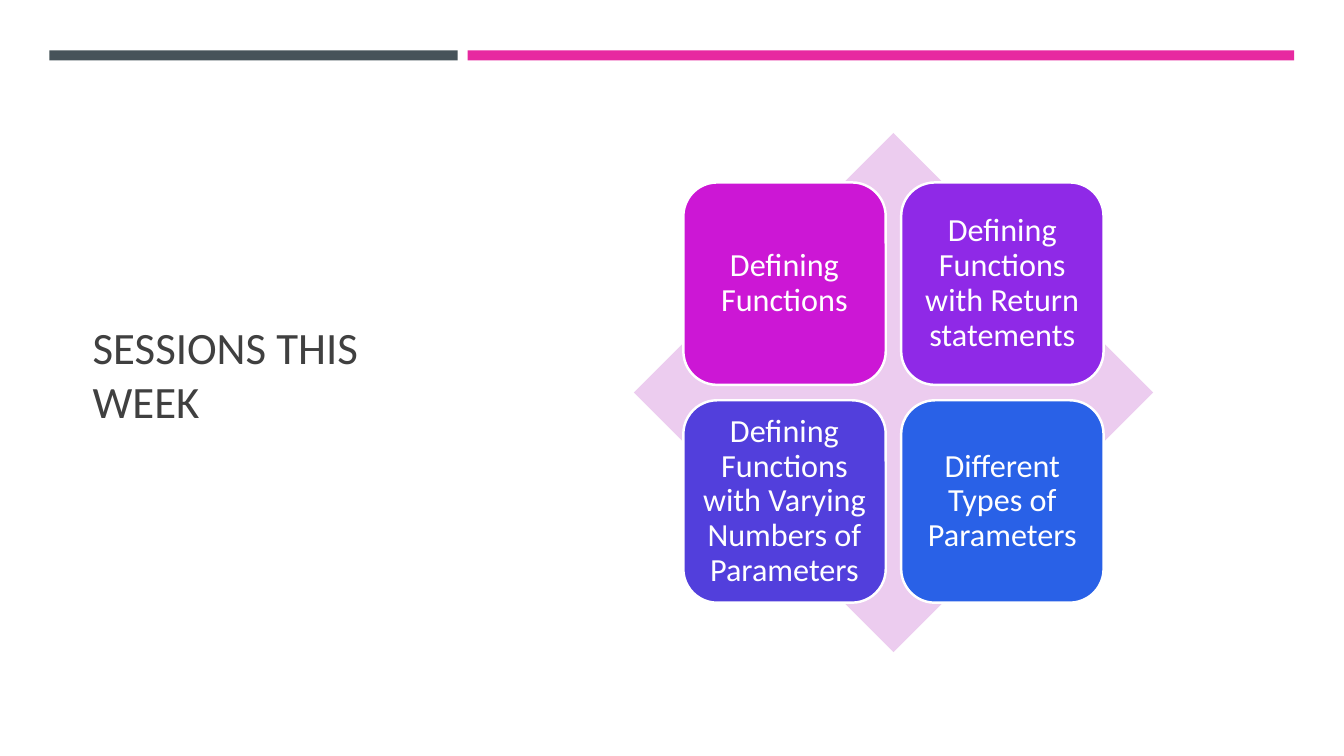
"""Build the slide that lists this week's sessions around a diamond."""
import pptx
import pptx.dml.color
import pptx.enum.shapes
import pptx.enum.text
import pptx.util

Pt = pptx.util.Pt
SHAPES = pptx.enum.shapes.MSO_SHAPE
ALIGN = pptx.enum.text.PP_ALIGN

HEADING = "SESSIONS THIS WEEK"
SESSIONS = [
    ("Defining Functions", "magenta"),
    ("Defining Functions with Return statements", "purple"),
    ("Defining Functions with Varying Numbers of Parameters", "indigo"),
    ("Different Types of Parameters", "blue"),
]
COLORS = {
    "white": "FFFFFF",
    "heading": "404040",
    "slate": "465359",
    "pink": "E729A0",
    "diamond": "ECCCEF",
    "magenta": "CC17D5",
    "purple": "8F29E7",
    "indigo": "523FDC",
    "blue": "2961E7",
}
BARS = [(35.3, 291.6, "slate"), (334.1, 590.4, "pink")]
BAR_TOP, BAR_HEIGHT = 36, 7.2
CENTER_X, CENTER_Y = 638.2, 280.4
DIAMOND_SIZE = 370.8
TILE_SIZE, TILE_GAP = 144.6, 11
HEADING_MARGIN, TILE_MARGIN = 7.2, 5
COLUMNS = 2


def color(name):
    return pptx.dml.color.RGBColor.from_string(COLORS[name])


def add_block(slide, preset, box, fill):
    block = slide.shapes.add_shape(preset, *map(Pt, box))
    block.shadow.inherit = False
    block.fill.solid()
    block.fill.fore_color.rgb = color(fill)
    block.line.fill.background()
    return block


def write(frame, words, size, ink, align, margin):
    frame.word_wrap = True
    frame.auto_size = pptx.enum.text.MSO_AUTO_SIZE.NONE
    frame.vertical_anchor = pptx.enum.text.MSO_ANCHOR.MIDDLE
    frame.margin_left = frame.margin_right = Pt(margin)
    frame.margin_top = frame.margin_bottom = Pt(margin)
    paragraph = frame.paragraphs[0]
    paragraph.alignment = align
    run = paragraph.add_run()
    run.text = words
    run.font.name = "Calibri"
    run.font.size = Pt(size)
    run.font.color.rgb = color(ink)
    return paragraph


def main():
    deck = pptx.Presentation()
    deck.slide_width, deck.slide_height = Pt(960), Pt(540)
    slide = deck.slides.add_slide(deck.slide_layouts[5])
    slide.background.fill.solid()
    slide.background.fill.fore_color.rgb = color("white")

    heading = slide.shapes.title
    heading.left, heading.top = Pt(59), Pt(81.5)
    heading.width, heading.height = Pt(240.5), Pt(370.8)
    write(heading.text_frame, HEADING, 32, "heading", ALIGN.LEFT, HEADING_MARGIN)

    for left, width, fill in BARS:
        add_block(slide, SHAPES.RECTANGLE, (left, BAR_TOP, width, BAR_HEIGHT), fill)

    half = DIAMOND_SIZE / 2
    add_block(slide, SHAPES.DIAMOND,
              (CENTER_X - half, CENTER_Y - half, DIAMOND_SIZE, DIAMOND_SIZE), "diamond")

    pitch = TILE_SIZE + TILE_GAP
    grid_half = TILE_SIZE + TILE_GAP / 2
    for index, (session, fill) in enumerate(SESSIONS):
        row, column = divmod(index, COLUMNS)
        left = CENTER_X - grid_half + column * pitch
        top = CENTER_Y - grid_half + row * pitch
        tile = add_block(slide, SHAPES.ROUNDED_RECTANGLE,
                         (left, top, TILE_SIZE, TILE_SIZE), fill)
        tile.line.color.rgb = color("white")
        tile.line.width = Pt(1.75)
        paragraph = write(tile.text_frame, session, 23, "white", ALIGN.CENTER, TILE_MARGIN)
        paragraph.line_spacing = 0.9

    deck.save("out.pptx")


if __name__ == "__main__":
    main()
